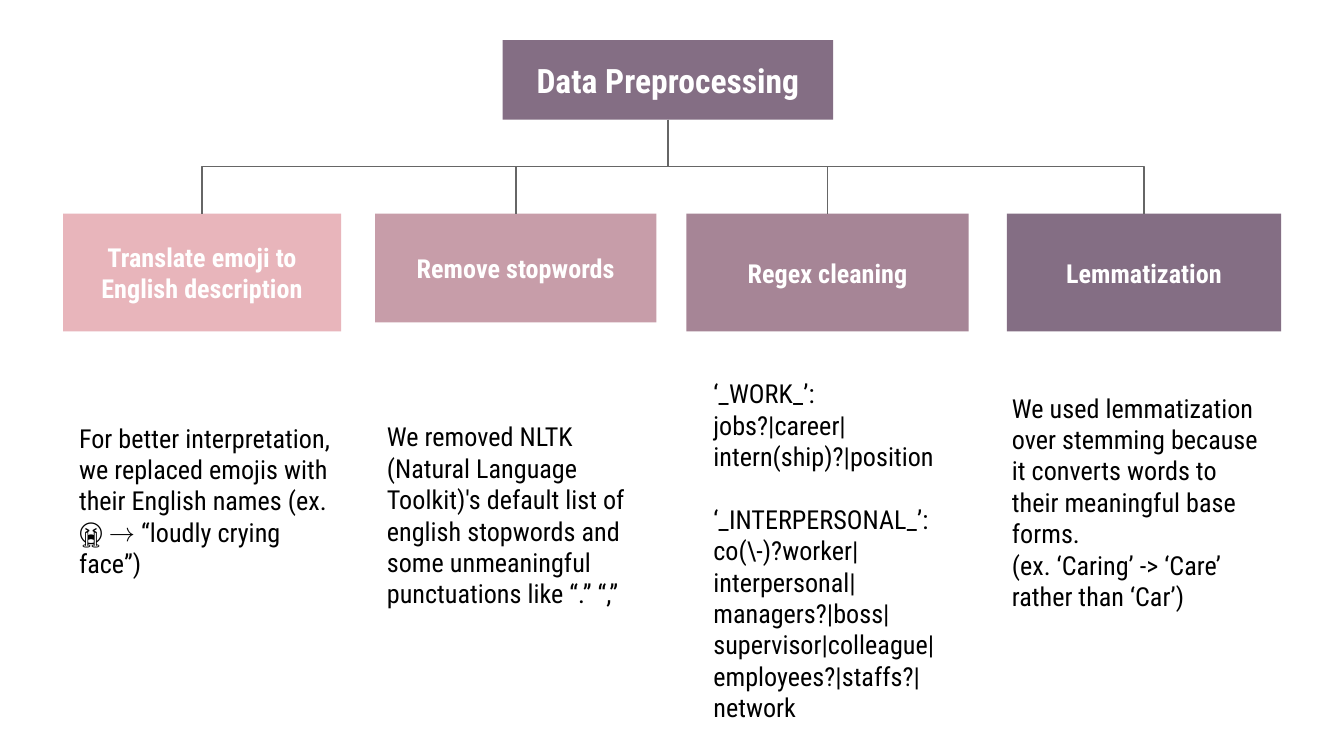
from collections import namedtuple

from lxml import etree
from pptx import Presentation
from pptx.dml.color import RGBColor
from pptx.enum.shapes import MSO_CONNECTOR, MSO_SHAPE
from pptx.enum.text import MSO_ANCHOR, MSO_AUTO_SIZE, PP_ALIGN
from pptx.oxml.ns import qn
from pptx.util import Pt

ELBOW = MSO_CONNECTOR.ELBOW
RECTANGLE = MSO_SHAPE.RECTANGLE
TOP, MIDDLE = MSO_ANCHOR.TOP, MSO_ANCHOR.MIDDLE
NO_AUTOFIT = MSO_AUTO_SIZE.NONE
LEFT, CENTER = PP_ALIGN.LEFT, PP_ALIGN.CENTER

FONT = "Roboto Condensed"
INSET = 7.2
PARAGRAPH_GAP = 16.8
PLUM, WHITE, BLACK, GRAY = "846E84", "FFFFFF", "000000", "666666"

Box = namedtuple("Box", "left top width height")
Step = namedtuple("Step", "heading fill heading_box body_box anchor paragraphs gaps")

TITLE_BOX = Box(269.3, 21.5, 177, 42.7)
HEADING_TOP = 114.5
STEPS = [
    Step("Translate emoji to English description", "E8B5BB",
         Box(33.8, HEADING_TOP, 149, 63.1), Box(35.3, 218.9, 149, 137.5), TOP,
         ["For better interpretation, we replaced emojis with their English "
          "names (ex. 😭 → “loudly crying face”)"], [0]),
    Step("Remove stopwords", "C79DA9",
         Box(201, HEADING_TOP, 150.7, 58.2), Box(200.2, 218.2, 151.2, 138.2), TOP,
         ["We removed NLTK (Natural Language Toolkit)'s default list of english "
          "stopwords and some unmeaningful punctuations like “.” “,”"], [0]),
    Step("Regex cleaning", "A68596",
         Box(367.8, HEADING_TOP, 151.2, 63.1), Box(375.1, 212.4, 144, 164.9), MIDDLE,
         ["‘_WORK_’:",
          "jobs?|career|intern(ship)?|position",
          "‘_INTERPERSONAL_’: co(\\-)?worker|interpersonal|managers?|boss|"
          "supervisor|colleague|employees?|staffs?|network"],
         [0, 0, PARAGRAPH_GAP]),
    Step("Lemmatization", PLUM,
         Box(539.4, HEADING_TOP, 147, 63.1), Box(535, 219.6, 150.5, 98.6), MIDDLE,
         ["We used lemmatization over stemming because it converts words to "
          "their meaningful base forms.",
          "(ex. ‘Caring’ -> ‘Care’ rather than ‘Car’)"], [0, 0]),
]


def color(hex_string):
    return RGBColor.from_string(hex_string)


def points(box):
    return [Pt(length) for length in box]


def fill_shape(shape, fill):
    shape.fill.solid()
    shape.fill.fore_color.rgb = color(fill)
    shape.line.fill.background()


def write(shape, paragraphs, size, text_color, bold=False, align=LEFT,
          anchor=MIDDLE, gaps=(0,)):
    frame = shape.text_frame
    frame.word_wrap = True
    frame.auto_size = NO_AUTOFIT
    frame.vertical_anchor = anchor
    frame.margin_left = frame.margin_right = Pt(INSET)
    frame.margin_top = frame.margin_bottom = Pt(INSET)
    frame.text = "\n".join(paragraphs)
    for para, gap in zip(frame.paragraphs, gaps):
        para.alignment = align
        if gap:
            para.space_before = Pt(gap)
        for span in para.runs:
            span.font.name = FONT
            span.font.size = Pt(size)
            span.font.bold = bold
            span.font.color.rgb = color(text_color)


def add_title(page, box):
    title = page.shapes.title
    title.left, title.top, title.width, title.height = points(box)
    fill_shape(title, PLUM)
    write(title, ["Data Preprocessing"], 18, WHITE, bold=True, align=CENTER)


def add_step(page, step):
    body = page.shapes.add_textbox(*points(step.body_box))
    write(body, step.paragraphs, 14, BLACK, anchor=step.anchor, gaps=step.gaps)
    heading = page.shapes.add_shape(RECTANGLE, *points(step.heading_box))
    heading.shadow.inherit = False
    fill_shape(heading, step.fill)
    write(heading, [step.heading], 14, WHITE, bold=True, align=CENTER)


def add_branch(page, parent, child):
    """Elbow from the parent's bottom to the child's top, as a quarter-turned connector."""
    start_x, end_x = (box.left + box.width / 2 for box in (parent, child))
    start_y, end_y = parent.top + parent.height, child.top
    middle_x, middle_y = (start_x + end_x) / 2, (start_y + end_y) / 2
    half_span = abs(end_x - start_x) / 2
    goes_right = end_x > start_x
    half_drop = (end_y - start_y) / 2 * (-1 if goes_right else 1)
    branch = page.shapes.add_connector(
        ELBOW, Pt(middle_x - half_drop), Pt(middle_y - half_span),
        Pt(middle_x + half_drop), Pt(middle_y + half_span))
    branch.line.color.rgb = color(GRAY)
    branch.line.width = Pt(0.75)
    properties = branch._element.spPr
    quarter_turns = 3 if goes_right else 1
    properties.find(qn("a:xfrm")).set("rot", str(quarter_turns * 90 * 60000))
    etree.SubElement(properties, qn("a:effectLst"))


def main():
    deck = Presentation()
    deck.slide_width, deck.slide_height = Pt(720), Pt(405)
    page = deck.slides.add_slide(deck.slide_layouts.get_by_name("Title Only"))
    add_title(page, TITLE_BOX)
    for step in STEPS:
        add_step(page, step)
    for step in STEPS:
        add_branch(page, TITLE_BOX, step.heading_box)
    deck.save("out.pptx")


if __name__ == "__main__":
    main()
